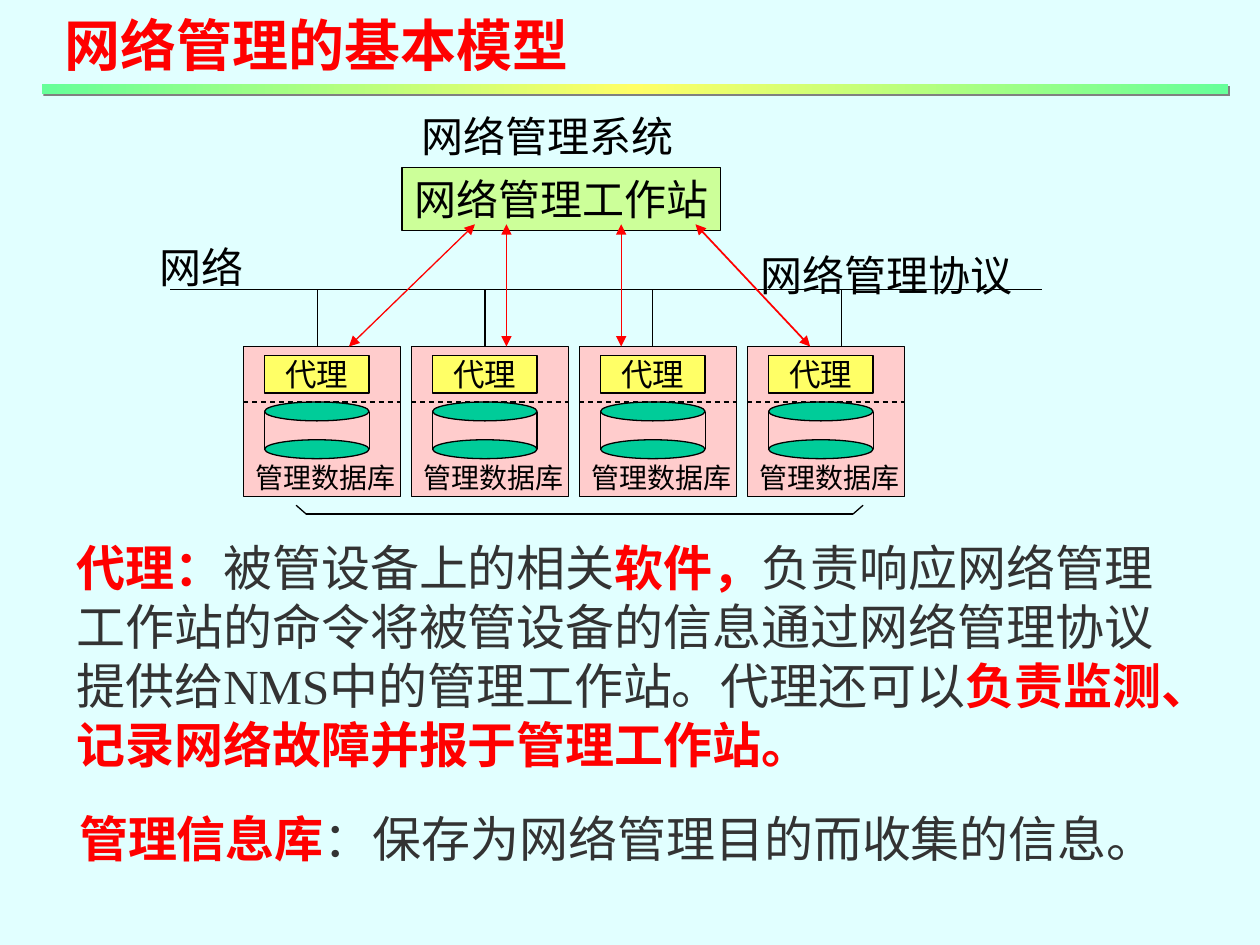
"""Build the slide on the basic model of network management."""
from lxml import etree
from pptx import Presentation
from pptx.dml.color import RGBColor
from pptx.enum.dml import MSO_LINE
from pptx.enum.lang import MSO_LANGUAGE_ID
from pptx.enum.shapes import MSO_CONNECTOR, MSO_SHAPE
from pptx.enum.text import MSO_ANCHOR, PP_ALIGN
from pptx.oxml import parse_xml
from pptx.oxml.ns import qn
from pptx.util import Inches, Pt

RECTANGLE, OVAL = MSO_SHAPE.RECTANGLE, MSO_SHAPE.OVAL
STRAIGHT, DASH = MSO_CONNECTOR.STRAIGHT, MSO_LINE.DASH
LEFT, CENTER = PP_ALIGN.LEFT, PP_ALIGN.CENTER
TOP, MIDDLE = MSO_ANCHOR.TOP, MSO_ANCHOR.MIDDLE
CHINESE = MSO_LANGUAGE_ID.SIMPLIFIED_CHINESE
FONT = "Times New Roman"

BACKGROUND = RGBColor(0xE1, 0xFF, 0xFF)
BLACK = RGBColor(0x00, 0x00, 0x00)
RED = RGBColor(0xFF, 0x00, 0x00)
DARK_GREY = RGBColor(0x33, 0x33, 0x33)
LIGHT_GREEN = RGBColor(0xCC, 0xFF, 0x99)
PINK = RGBColor(0xFF, 0xCC, 0xCC)
YELLOW = RGBColor(0xFF, 0xFF, 0x66)
TEAL = RGBColor(0x00, 0xCC, 0x99)
MINT = RGBColor(0x66, 0xFF, 0x99)

prs = Presentation()
prs.slide_width, prs.slide_height = Inches(10), Inches(7.5)
slide = prs.slides.add_slide(prs.slide_layouts[5])
slide.background.fill.solid()
slide.background.fill.fore_color.rgb = BACKGROUND


def write(shape, parts, size, align=LEFT, anchor=TOP, wrap=False):
    frame = shape.text_frame
    frame.word_wrap = wrap
    frame.vertical_anchor = anchor
    paragraph = frame.paragraphs[0]
    paragraph.alignment = align
    for text, color, bold in parts:
        run = paragraph.add_run()
        run.text = text
        run.font.name, run.font.size = FONT, Pt(size)
        run.font.bold, run.font.color.rgb = bold, color
        run.font.language_id = CHINESE


def add_line(x1, y1, x2, y2, color=BLACK, width=0.75, dash=None, arrows=False):
    line = slide.shapes.add_connector(
        STRAIGHT, Inches(x1), Inches(y1), Inches(x2), Inches(y2))
    line.line.color.rgb, line.line.width = color, Pt(width)
    if dash:
        line.line.dash_style = dash
    if arrows:
        outline = line.line._get_or_add_ln()
        for end in ("a:headEnd", "a:tailEnd"):
            etree.SubElement(outline, qn(end), type="triangle")
    etree.SubElement(line._element.spPr, qn("a:effectLst"))


title = slide.shapes.title
title.left, title.top = Inches(0.41), Inches(0.03)
title.width, title.height = Inches(4.5), Inches(0.64)
write(title, [("网络管理的基本模型", RED, True)], 32)

PITCH = 4 / 3
device_shapes = [
    (RECTANGLE, 0, 2.75, 1.25, 1.19, PINK, None),
    (RECTANGLE, 0.17, 2.82, 0.83, 0.3, YELLOW, "代理"),
    (OVAL, 0.17, 3.19, 0.83, 0.15, TEAL, None),
    (OVAL, 0.17, 3.49, 0.83, 0.15, TEAL, None),
]
boxes = [(RECTANGLE, 3.19, 1.33, 2.53, 0.5, LIGHT_GREEN, "网络管理工作站")]
devices = [1.93 + PITCH * i for i in range(4)]
for left in devices:
    boxes += [(kind, left + dx, *rest) for kind, dx, *rest in device_shapes]
for kind, left, top, width, height, color, label in boxes:
    box = slide.shapes.add_shape(
        kind, Inches(left), Inches(top), Inches(width), Inches(height))
    box.shadow.inherit = False
    box.fill.solid()
    box.fill.fore_color.rgb = color
    box.line.color.rgb, box.line.width = BLACK, Pt(0.75)
    if label == "代理":
        write(box, [(label, BLACK, False)], 18, CENTER, MIDDLE)
    elif label:
        write(box, [(label, BLACK, False)], 24)

for left in devices:
    for side in (left + 0.17, left + 1):
        add_line(side, 3.27, side, 3.56)
    add_line(left, 3.19, left + 1.25, 3.19, dash=DASH)

add_line(1.35, 2.3, 8.27, 2.3)
for stem in (2.52, 3.85, 5.18, 6.68):
    add_line(stem, 2.3, stem, 2.75)

black_labels = [(left, 3.61, 1.33, 0.37, "管理数据库", 16) for left in devices]
black_labels += [
    (1.17, 1.87, 1, 0.5, "网络", 24),
    (3.25, 0.83, 2.3, 0.5, "网络管理系统", 24),
    (5.94, 1.93, 2.3, 0.5, "网络管理协议", 24),
]
texts = [(*place, [(text, BLACK, False)], size, False)
         for *place, text, size in black_labels]
texts += [
    (0.51, 4.22, 8.93, 1.97, [
        ("代理：", RED, True),
        ("被管设备上的相关", DARK_GREY, False),
        ("软件，", RED, True),
        ("负责响应网络管理工作站的命令将被管设备的信息通过网络管理协议"
         "提供给NMS中的管理工作站。代理还可以", DARK_GREY, False),
        ("负责监测、记录网络故障并报于管理工作站。", RED, True),
    ], 28, True),
    (0.53, 6.37, 8.83, 0.57, [
        ("管理信息库", RED, True),
        ("：保存为网络管理目的而收集的信息。", DARK_GREY, False),
    ], 28, False),
]
for left, top, width, height, parts, size, wrap in texts:
    caption = slide.shapes.add_textbox(
        Inches(left), Inches(top), Inches(width), Inches(height))
    write(caption, parts, size, wrap=wrap)

for x1, y1, x2, y2, width in [
    (2.77, 2.75, 3.77, 1.78, 0.75),
    (4.02, 1.78, 4.02, 2.75, 0.75),
    (4.93, 1.78, 4.93, 2.75, 0.75),
    (5.52, 1.78, 6.43, 2.75, 1),
]:
    add_line(x1, y1, x2, y2, RED, width, arrows=True)

add_line(2.43, 4.08, 6.77, 4.08)
add_line(2.35, 4.01, 2.43, 4.08)
add_line(6.85, 4.01, 6.77, 4.08)

rule = slide.shapes.add_shape(
    RECTANGLE, Inches(0.33), Inches(0.67), Inches(9.42), Inches(0.08))
rule.line.fill.background()
rule.fill.gradient()
rule.fill.gradient_angle = 0
stops = rule.fill._fill._gradFill.find(qn("a:gsLst"))
stops.clear()
for position, color in ((0, MINT), (50000, YELLOW), (100000, MINT)):
    stop = etree.SubElement(stops, qn("a:gs"), pos=str(position))
    etree.SubElement(stop, qn("a:srgbClr"), val=str(color))
rule._element.spPr.append(parse_xml(
    '<a:effectLst xmlns:a="http://schemas.openxmlformats.org/drawingml/2006/main">'
    '<a:outerShdw dist="17780" dir="2700000" algn="ctr" rotWithShape="0">'
    '<a:srgbClr val="808080"/></a:outerShdw></a:effectLst>'))

prs.save("out.pptx")
